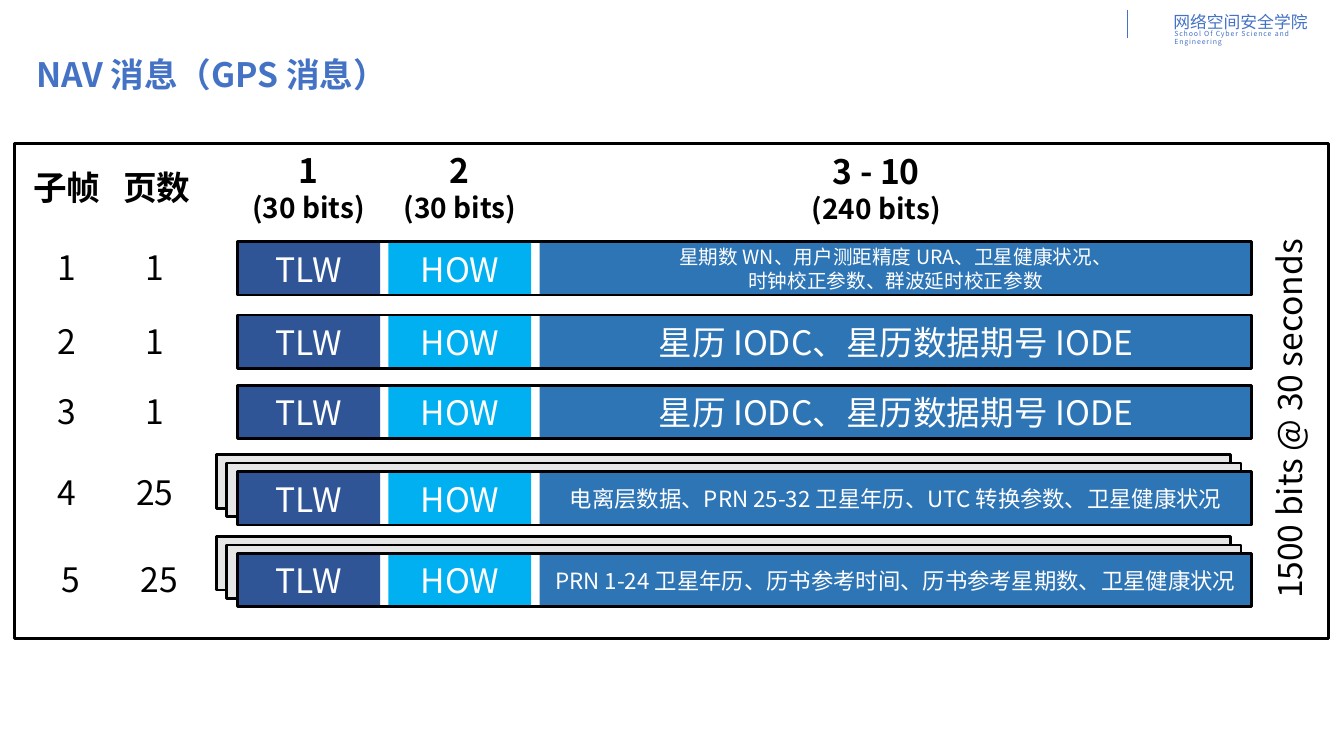
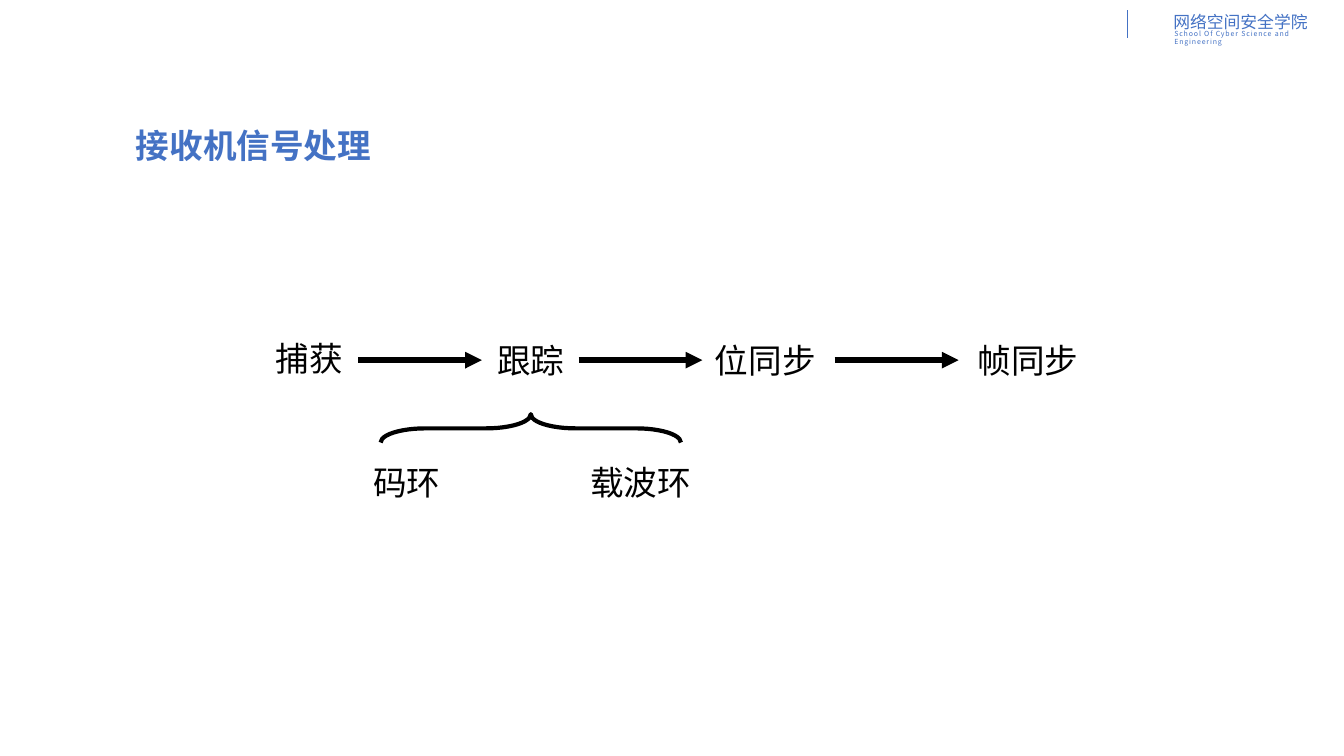
from lxml.etree import SubElement
from pptx import Presentation
from pptx.dml.color import RGBColor
from pptx.enum.shapes import MSO_CONNECTOR, MSO_SHAPE
from pptx.enum.text import MSO_ANCHOR, PP_ALIGN
from pptx.oxml.ns import qn
from pptx.util import Pt

PX = 9525
FONT, HEADER_FONT = "Noto Sans CJK SC", "Noto Sans CJK JP"
BLUE, BLACK, WHITE, GREY = "4472C4", "000000", "FFFFFF", "E7E6E6"
NAVY, CYAN, STEEL = "2F5597", "00B0F0", "2E75B6"
LINE_PITCH = 1.22
RECT = MSO_SHAPE.RECTANGLE
rgb = RGBColor.from_string


def add_box(s, x, y, w, h, lines=(), shape=None, fill=None, border=None, color=BLACK,
            bold=False, align=PP_ALIGN.CENTER, anchor=MSO_ANCHOR.TOP, font=FONT, spacing=None):
    """Add a text box, or a preset shape, with (text, size) lines."""
    at = [v * PX for v in (x, y, w, h)]
    if shape is None:
        sp = s.shapes.add_textbox(*at)
    else:
        sp = s.shapes.add_shape(shape, *at)
        sp.shadow.inherit = False
        if fill:
            sp.fill.solid()
            sp.fill.fore_color.rgb = rgb(fill)
        else:
            sp.fill.background()
        if border:
            sp.line.color.rgb = rgb(BLACK)
            sp.line.width = Pt(border)
        else:
            sp.line.fill.background()
    tf = sp.text_frame
    tf.word_wrap = True
    tf.vertical_anchor = anchor
    for i, (text, size) in enumerate(lines):
        p = tf.paragraphs[0] if i == 0 else tf.add_paragraph()
        p.alignment = align
        p.line_spacing = Pt(size * LINE_PITCH)
        r = p.add_run()
        r.text = text
        r.font.size = Pt(size)
        r.font.bold = bold
        r.font.name = font
        r.font.color.rgb = rgb(color)
        rPr = r._r.get_or_add_rPr()
        SubElement(rPr, qn("a:ea"), typeface=font)
        if spacing:
            rPr.set("spc", str(spacing))
    return sp


def add_line(s, x1, y1, x2, y2, color, width, arrow=False):
    c = s.shapes.add_connector(MSO_CONNECTOR.STRAIGHT, *[v * PX for v in (x1, y1, x2, y2)])
    c.line.color.rgb = rgb(color)
    c.line.width = Pt(width)
    if arrow:
        SubElement(c.line._get_or_add_ln(), qn("a:tailEnd"), type="triangle")
    SubElement(c._element.spPr, qn("a:effectLst"))


prs = Presentation()
prs.slide_width, prs.slide_height = 1280 * PX, 720 * PX

# Shared header and title
titles = [("NAV 消息（GPS 消息）", 25, 46), ("接收机信号处理", 120, 114)]
for title, x, y in titles:
    s = prs.slides.add_slide(prs.slide_layouts[6])
    add_box(s, 1108, 6, 150, 29, [("网络空间安全学院", 12)], color=BLUE,
            align=PP_ALIGN.LEFT, font=HEADER_FONT)
    add_line(s, 1074, 10, 1074, 36, BLUE, 1)
    add_box(s, 1109, 23, 171, 18, [("School Of Cyber Science and Engineering", 5)],
            color=BLUE, align=PP_ALIGN.LEFT, spacing=60)
    add_box(s, x, y, 632, 48, [(title, 24)], color=BLUE, bold=True, align=PP_ALIGN.LEFT)
nav, receiver = prs.slides

# NAV message: frame and column heads
add_box(nav, 14, 137, 1251, 471, shape=RECT, border=2)
for text, x in [("子帧", 21), ("页数", 107)]:
    add_box(nav, x, 154, 85, 48, [(text, 24)], bold=True)
for word, bits, x, y, w in [("1", 30, 214, 137, 160), ("2", 30, 358, 137, 160),
                            ("3 - 10", 240, 697, 138, 275)]:
    add_box(nav, x, y, w, 81, [(word, 24), (f"({bits} bits)", 20)], bold=True)

# NAV message: one bar per subframe, stacked where it has several pages
BAR_X, BAR_W, BAR_H = 226, 966, 51
WORD_W, WORD_STEP = 136, 144
DATA_X = BAR_X + 2 * WORD_STEP
EPHEMERIS = ["星历 IODC、星历数据期号 IODE"]
subframes = [  # bar top, label left, label top, pages, data lines, text size
    (230, 21, 230, 1, ["星期数 WN、用户测距精度 URA、卫星健康状况、",
                       "时钟校正参数、群波延时校正参数"], 14),
    (300, 21, 300, 1, EPHEMERIS, 24),
    (367, 21, 367, 1, EPHEMERIS, 24),
    (449, 21, 444, 25, ["电离层数据、PRN 25-32 卫星年历、UTC 转换参数、卫星健康状况"], 16),
    (527, 25, 527, 25, ["PRN 1-24 卫星年历、历书参考时间、历书参考星期数、卫星健康状况"], 16),
]
for number, (y, label_x, label_y, pages, data, size) in enumerate(subframes, 1):
    if pages > 1:
        for depth in (2, 1):
            add_box(nav, BAR_X - 10 * depth, y - 8 * depth, BAR_W, BAR_H,
                    shape=RECT, fill=GREY, border=2)
        add_box(nav, BAR_X, y, BAR_W, BAR_H, shape=RECT, fill=WHITE)
    cells = [(BAR_X, WORD_W, NAVY, [("TLW", 24)]),
             (BAR_X + WORD_STEP, WORD_W, CYAN, [("HOW", 24)]),
             (DATA_X, BAR_X + BAR_W - DATA_X, STEEL, [(text, size) for text in data])]
    for x, w, fill, lines in cells:
        add_box(nav, x, y, w, BAR_H, lines, RECT, fill, color=WHITE, anchor=MSO_ANCHOR.MIDDLE)
    add_box(nav, BAR_X, y, BAR_W, BAR_H, shape=RECT, border=2)
    for x, value in [(label_x, number), (label_x + 84, pages)]:
        add_box(nav, x, label_y, 85, 48, [(str(value), 24)])

rate = add_box(nav, 1035, 375, 384, 48, [("1500 bits @ 30 seconds", 24)])
rate.rotation = 270

# Receiver: processing steps and arrows
for text, x, y, w in [("捕获", 248, 314, 93), ("跟踪", 459, 316, 93),
                      ("位同步", 670, 316, 118), ("帧同步", 920, 316, 118)]:
    add_box(receiver, x, y, w, 54, [(text, 24)], anchor=MSO_ANCHOR.MIDDLE)
for x in (341, 551, 795):
    add_line(receiver, x, 343, x + 118, 343, BLACK, 4, arrow=True)

# Receiver: the two tracking loops
brace = add_box(receiver, 492, 265, 27, 286, shape=MSO_SHAPE.LEFT_BRACE, border=3)
brace.adjustments[0] = 1.58
brace.rotation = 90
for text, x, w in [("码环", 341, 93), ("载波环", 551, 118)]:
    add_box(receiver, x, 435, w, 48, [(text, 24)])

prs.save("out.pptx")
